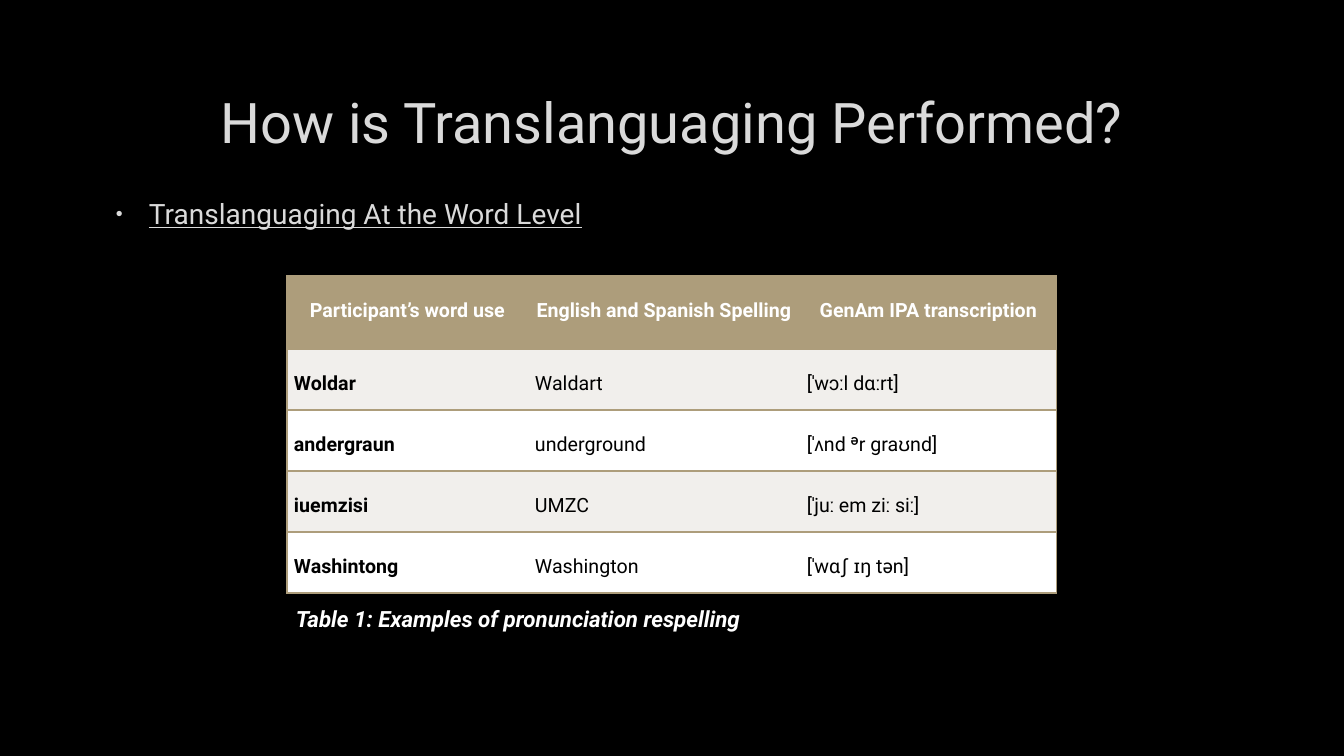
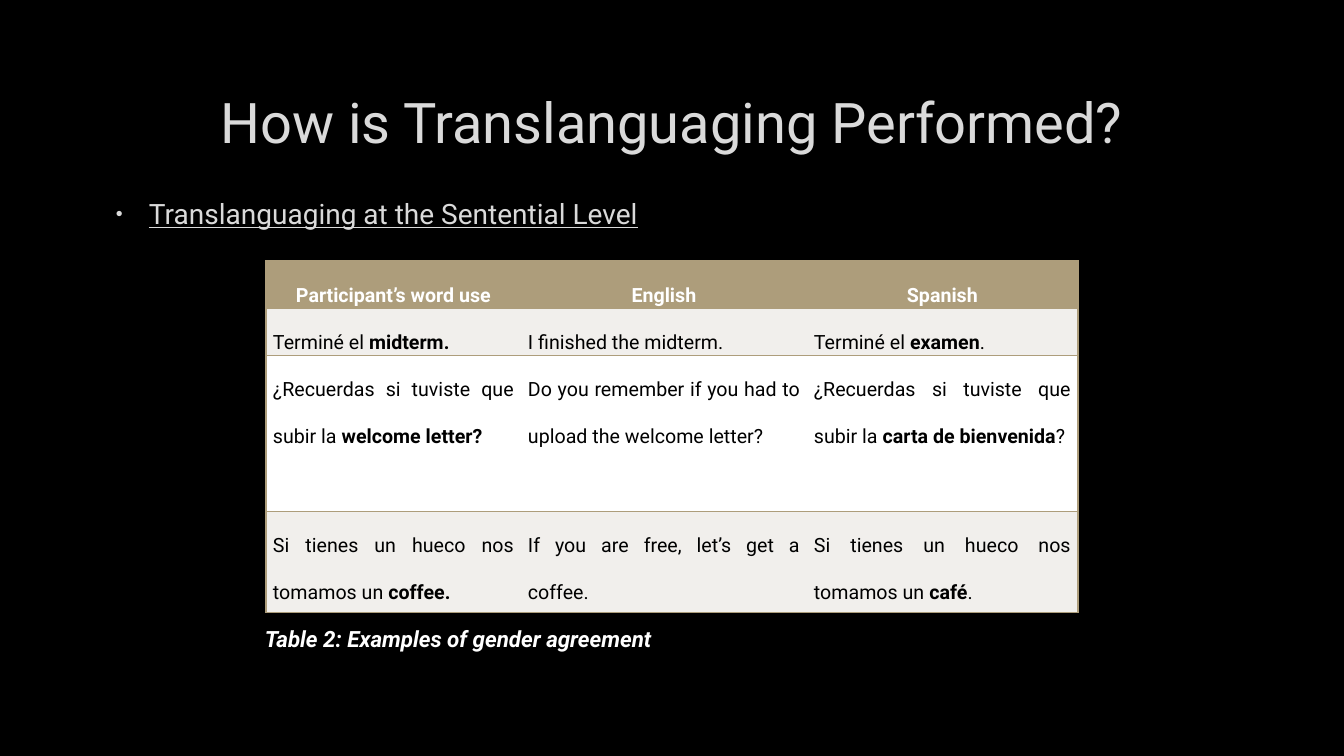
from pptx import Presentation, util as u
from pptx.dml.color import RGBColor
from pptx.enum import text as t
from pptx.oxml import parse_xml
from pptx.oxml.ns import nsdecls

PX = 914400 / 100.8
FONT = "Roboto"
BLACK, WHITE, GREY = "000000", "FFFFFF", "DADADA"
TAN, PALE = "AD9D7B", "F1EFEC"
BOLD_MARK = "*"
TITLE = "How is Translanguaging Performed?"
TITLE_AREA = (101, 68, 1141, 107)
TOPIC_AREA = (101, 192, 1141, 448)
CAPTION_SIZE = (581, 37)

SLIDES = [
    {
        "topic": "Translanguaging At the Word Level",
        "corner": (287, 276),
        "widths": [241, 272, 257],
        "heights": [73, 61, 61, 61, 61],
        "rows": [
            ["*Participant’s word use*", "*English and Spanish Spelling*", "*GenAm IPA transcription*"],
            ["*Woldar*", "Waldart", "[ˈwɔːl dɑːrt]"],
            ["*andergraun*", "underground", "[ˈʌnd ᵊr ɡraʊnd]"],
            ["*iuemzisi*", "UMZC", "[ˈjuː em ziː siː]"],
            ["*Washintong*", "Washington", "[ˈwɑʃ ɪŋ tən]"],
        ],
        "caption": "*Table 1: Examples of pronunciation respelling*",
        "caption_corner": (286, 600),
    },
    {
        "topic": "Translanguaging at the Sentential Level",
        "corner": (266, 261),
        "widths": [255, 286, 271],
        "heights": [46, 46, 156, 101],
        "rows": [
            ["*Participant’s word use*", "*English*", "*Spanish*"],
            ["Terminé el *midterm.*", "I finished the midterm.", "Terminé el *examen*."],
            [
                "¿Recuerdas si tuviste que subir la *welcome letter?*",
                "Do you remember if you had to upload the welcome letter?",
                "¿Recuerdas si tuviste que subir la *carta de bienvenida*?",
            ],
            [
                "Si tienes un hueco nos tomamos un *coffee.*",
                "If you are free, let’s get a coffee.",
                "Si tienes un hueco nos tomamos un *café*.",
            ],
        ],
        "caption": "*Table 2: Examples of gender agreement*",
        "caption_corner": (255, 620),
    },
]


def px(value):
    return u.Emu(round(value * PX))


def rgb(value):
    return RGBColor.from_string(value)


def write(frame, content, size, color, align=t.PP_ALIGN.LEFT, spacing=1.0,
          italic=False, underline=False):
    frame.word_wrap = True
    para = frame.paragraphs[0]
    para.alignment = align
    para.line_spacing = spacing
    for index, part in enumerate(content.split(BOLD_MARK)):
        if part:
            span = para.add_run()
            span.text = part
            font = span.font
            font.name, font.size, font.color.rgb = FONT, u.Pt(size), rgb(color)
            font.bold, font.italic, font.underline = index % 2 == 1, italic, underline
    return para


def add_title(page):
    title = page.shapes.title
    title.left, title.top, title.width, title.height = map(px, TITLE_AREA)
    title.text_frame.vertical_anchor = t.MSO_ANCHOR.MIDDLE
    write(title.text_frame, TITLE, 40, GREY, align=t.PP_ALIGN.CENTER)


def add_text(page, area, content, size, color, **style):
    box = page.shapes.add_textbox(*map(px, area))
    return write(box.text_frame, content, size, color, **style)


def add_topic(page, content):
    para = add_text(page, TOPIC_AREA, content, 20, GREY, underline=True)
    para.space_before, para.space_after = u.Pt(2), u.Pt(6)
    props = para._p.get_or_add_pPr()
    props.set("marL", str(px(38)))
    props.set("indent", str(-px(33)))
    for xml in (
        f'<a:buClr {nsdecls("a")}><a:srgbClr val="{GREY}"/></a:buClr>',
        f'<a:buSzPct {nsdecls("a")} val="70000"/>',
        f'<a:buFont {nsdecls("a")} typeface="Arial"/>',
        f'<a:buChar {nsdecls("a")} char="•"/>',
    ):
        props.append(parse_xml(xml))


def set_borders(cell, sides):
    props = cell._tc.get_or_add_tcPr()
    for index, side in enumerate("LRTB"):
        paint = f'<a:solidFill><a:srgbClr val="{TAN}"/></a:solidFill>' if side in sides else "<a:noFill/>"
        props.insert(index, parse_xml(
            f'<a:ln{side} {nsdecls("a")} w="12700">{paint}</a:ln{side}>'))


def add_grid(page, corner, widths, heights, rows):
    area = (*corner, sum(widths), sum(heights))
    table = page.shapes.add_table(len(rows), len(widths), *map(px, area)).table
    table.horz_banding = False
    for column, width in zip(table.columns, widths):
        column.width = px(width)
    for r, (row, height) in enumerate(zip(rows, heights)):
        table.rows[r].height = px(height)
        header = r == 0
        fill = TAN if header else PALE if r % 2 else WHITE
        for c, content in enumerate(row):
            cell = table.cell(r, c)
            cell.margin_left = cell.margin_right = px(7)
            cell.margin_top = cell.margin_bottom = 0
            cell.fill.solid()
            cell.fill.fore_color.rgb = rgb(fill)
            left = "L" if c == 0 else ""
            right = "R" if c == len(row) - 1 else ""
            set_borders(cell, "TB" + left + right)
            write(cell.text_frame, content, 14, WHITE if header else BLACK, spacing=2.0,
                  align=t.PP_ALIGN.CENTER if header else t.PP_ALIGN.JUSTIFY)


def main():
    deck = Presentation()
    deck.slide_width, deck.slide_height = px(1344), px(756)
    background = deck.slide_master.background.fill
    background.solid()
    background.fore_color.rgb = rgb(BLACK)
    for data in SLIDES:
        page = deck.slides.add_slide(deck.slide_layouts[5])
        add_title(page)
        add_topic(page, data["topic"])
        add_grid(page, data["corner"], data["widths"], data["heights"], data["rows"])
        add_text(page, (*data["caption_corner"], *CAPTION_SIZE), data["caption"], 16, WHITE, italic=True)
    deck.save("out.pptx")


if __name__ == "__main__":
    main()
